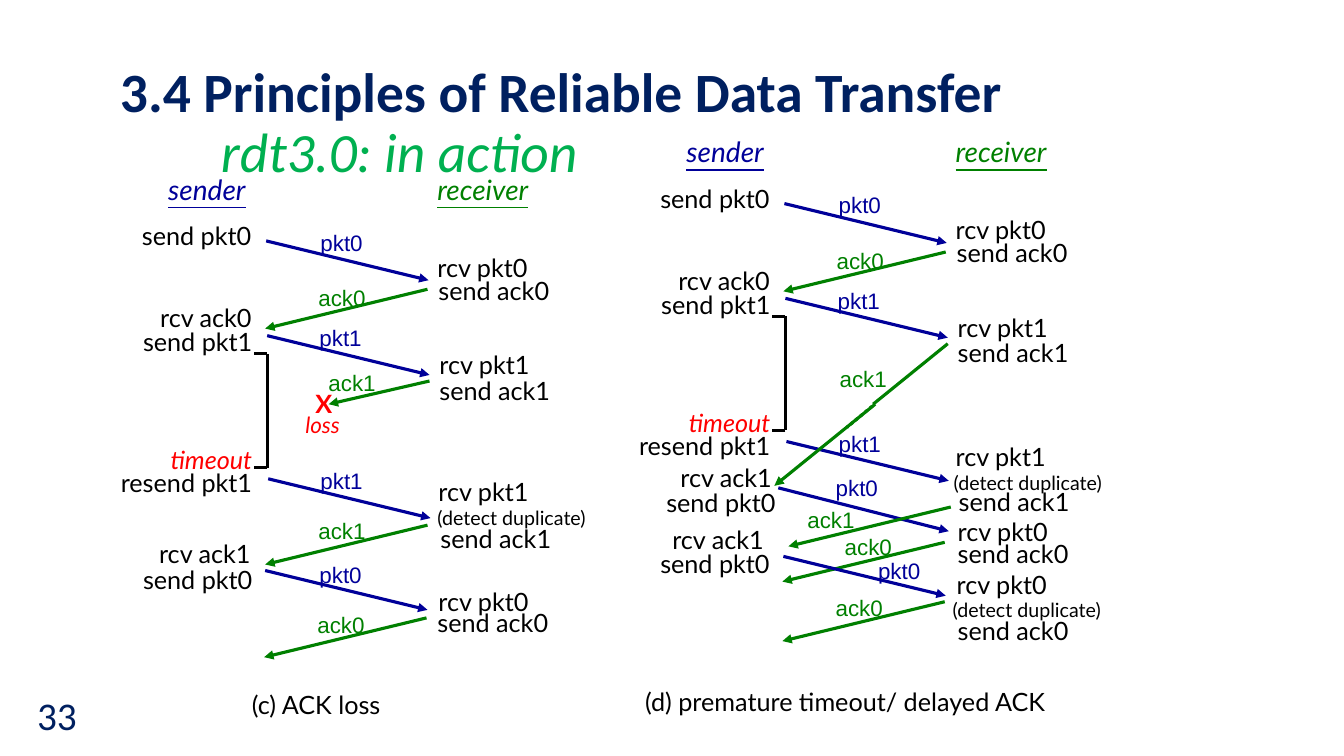
from lxml.etree import SubElement
from pptx import Presentation
from pptx.dml.color import RGBColor
from pptx.enum.dml import MSO_LINE as Dash
from pptx.enum.shapes import MSO_CONNECTOR as Connector
from pptx.enum.text import MSO_ANCHOR as Anchor, MSO_AUTO_SIZE as AutoSize, PP_ALIGN as Align
from pptx.oxml.ns import qn
from pptx.util import Inches, Pt

COLORS = {"title": "002060", "topic": "00B050", "packet": "000099",
          "ack": "008000", "alert": "FF0000", "ink": "000000"}

STYLES = {
    "title": dict(name="Calibri", size=Pt(39.6), bold=True, italic=False),
    "topic": dict(name="Calibri", size=Pt(39.6), bold=False, italic=True),
    "number": dict(name="Calibri", size=Pt(28)),
    "role": dict(name="Lato", size=Pt(20), italic=True, underline=True),
    "event": dict(name="Lato", size=Pt(18)),
    "timeout": dict(name="Lato", size=Pt(18), italic=True),
    "note": dict(name="Lato", size=Pt(14)),
    "loss": dict(name="Lato", size=Pt(16), italic=True),
    "cross": dict(name="Lato", size=Pt(18), bold=True),
    "message": dict(name="Arial", size=Pt(16)),
}

# Box heights by style and box widths by wording, in grid cells
HEIGHTS = {"role": 4.3, "note": 3.3, "loss": 3.7, "message": 3.7}
EVENT_WIDTHS = {"rcv pkt": 11.3, "rcv ack": 11.4, "send pkt": 13.2, "send ack": 13.3}


class TimingSlide:
    """A slide on a grid of 0.1 inch cells; origin shifts a whole panel."""

    def __init__(self, deck):
        self.slide = deck.slides.add_slide(deck.slide_layouts[5])
        self.origin = (0, 0)

    def place(self, x, y):
        return self.cells(x + self.origin[0]), self.cells(y + self.origin[1])

    def cells(self, count):
        return Inches(count / 10)

    def run(self, paragraph, text, style, color):
        run = paragraph.add_run()
        run.text = text
        for key, value in STYLES[style].items():
            setattr(run.font, key, value)
        run.font.color.rgb = RGBColor.from_string(COLORS[color])

    def title(self, heading, topic, x, y, width, height):
        title = self.slide.shapes.title
        title.left, title.top = self.place(x, y)
        title.width, title.height = self.cells(width), self.cells(height)
        frame = title.text_frame
        frame.vertical_anchor = Anchor.MIDDLE
        paragraph = frame.paragraphs[0]
        paragraph.alignment, paragraph.line_spacing = Align.LEFT, 0.9
        tabs = SubElement(paragraph._p.get_or_add_pPr(), qn("a:tabLst"))
        SubElement(tabs, qn("a:tab"), pos=str(self.cells(10)), algn="l")
        self.run(paragraph, heading, "title", "title")
        paragraph.add_line_break()
        self.run(paragraph, "\t", "title", "title")
        self.run(paragraph, topic, "topic", "topic")

    def text(self, x, y, width, lines, height=None, **layout):
        """Each line is a (text, style, color) triple."""
        height = height or HEIGHTS.get(lines[0][1], 4)
        box = self.slide.shapes.add_textbox(
            *self.place(x, y), self.cells(width), self.cells(height))
        frame = box.text_frame
        frame.word_wrap, frame.auto_size = False, AutoSize.SHAPE_TO_FIT_TEXT
        for index, line in enumerate(lines):
            paragraph = frame.add_paragraph() if index else frame.paragraphs[0]
            for key, value in layout.items():
                setattr(paragraph, key, value)
            self.run(paragraph, *line)
        return frame

    def event(self, label, x, y):
        self.text(x, y, EVENT_WIDTHS[label[:-1]], [(label, "event", "ink")])

    def duplicate_note(self, x, y):
        self.text(x, y, 17.2, [("(detect duplicate)", "note", "ink")])

    def line(self, start, end, color, arrow=False, dash=None):
        line = self.slide.shapes.add_connector(
            Connector.STRAIGHT, *self.place(*start), *self.place(*end))
        line.line.width = Pt(2.25)
        line.line.color.rgb = RGBColor.from_string(COLORS[color])
        if dash:
            line.line.dash_style = dash
        properties = line._element.spPr
        if arrow:
            SubElement(properties.find(qn("a:ln")), qn("a:tailEnd"), type="triangle")
        SubElement(properties, qn("a:effectLst"))

    def label(self, label, x, y):
        packet = label.startswith("pkt")
        self.text(x, y, 6.2 if packet else 6.7,
                  [(label, "message", "packet" if packet else "ack")])

    def message(self, label, x, y, label_x, label_y, run=16.1, drop=3.9):
        """Packets go right to the receiver, acks go left to the sender."""
        packet = label.startswith("pkt")
        end = (x + run if packet else x - run, y + drop)
        self.line((x, y), end, "packet" if packet else "ack", arrow=True)
        self.label(label, label_x, label_y)

    def opening(self):
        """The exchange both panels share, up to the resent packet."""
        self.text(15.7, 16.6, 10.2, [("sender", "role", "packet")])
        self.text(42.4, 16.6, 11.7, [("receiver", "role", "ack")])
        for event in [("send pkt0", 13.1, 21.4), ("rcv pkt0", 42.4, 24.5),
                      ("send ack0", 42.5, 26.8), ("rcv ack0", 14.9, 29.5),
                      ("send pkt1", 13.2, 31.9), ("rcv pkt1", 42.6, 34.2),
                      ("send ack1", 42.6, 36.7)]:
            self.event(*event)
        for message in [("pkt0", 26.4, 23.9, 30.8, 22.2), ("ack0", 42.4, 28.7, 30.6, 27.7),
                        ("pkt1", 26.5, 33.3, 30.7, 31.7), ("pkt1", 26.6, 47.5, 30.8, 45.9)]:
            self.message(*message)
        # Timeout bracket
        top, bottom = 35.1, 46.4
        self.line((26.5, top), (26.5, bottom), "ink")
        for y in (top, bottom):
            self.line((26.5, y), (25.2, y), "ink")
        self.text(10.9, 44.3, 15.1, [("timeout", "timeout", "alert"),
                                     ("resend pkt1", "event", "ink")],
                  height=5.5, alignment=Align.RIGHT, line_spacing=0.75)


def main():
    deck = Presentation()
    deck.slide_width, deck.slide_height = Inches(13.33), Inches(7.5)
    timing = TimingSlide(deck)

    # Title and slide number
    timing.title("3.4 Principles of Reliable Data Transfer", "rdt3.0: in action",
                 10.9, 6.2, 114.6, 12.3)
    number = timing.text(0, 66.9, 8.6, [("33", "number", "title")],
                         height=8.1, alignment=Align.RIGHT)
    number.auto_size, number.word_wrap = AutoSize.NONE, True
    number.vertical_anchor = Anchor.MIDDLE

    # Shared start of both panels
    for timing.origin in [(0, 0), (51.4, -3.7)]:
        timing.opening()
    timing.origin = (0, 0)

    # Panel c: the lost ack
    timing.message("ack1", 42.6, 37.8, 31.6, 36.1, run=10, drop=2.3)
    timing.text(30.3, 38, 3.7, [("X", "cross", "alert")])
    timing.text(29.3, 40.3, 5.7, [("loss", "loss", "alert")])

    # Panel d: the delayed ack
    timing.line((94, 34.1), (86.6, 40.1), "ack")
    timing.line((86.5, 40.3), (84, 42.4), "ack", dash=Dash.ROUND_DOT)
    timing.line((86.8, 40.1), (76.8, 48.2), "ack", arrow=True)
    timing.label("ack1", 82.3, 35.7)

    # Rest of each exchange
    for event in [("rcv pkt1", 42.5, 46.8), ("send ack1", 42.7, 51.4),
                  ("rcv ack1", 14.8, 52.9), ("send pkt0", 13.2, 55.5),
                  ("rcv pkt0", 42.5, 57.7), ("send ack0", 42.4, 59.8),
                  ("rcv pkt1", 93.8, 43.3), ("send ack1", 94.1, 47.8),
                  ("rcv ack1", 66.5, 45.4), ("send pkt0", 65.1, 47.9),
                  ("rcv pkt0", 94, 50.7), ("send ack0", 94, 52.9),
                  ("rcv ack1", 65.7, 51.5), ("send pkt0", 64.5, 53.9),
                  ("rcv pkt0", 93.9, 56), ("send ack0", 94, 60.6)]:
        timing.event(*event)
    for note in [(42.4, 49.7), (93.6, 46.2), (93.5, 58.8)]:
        timing.duplicate_note(*note)
    for message in [("ack1", 42.4, 52.1, 30.6, 50.8), ("pkt0", 26.3, 56.6, 30.7, 55.2),
                    ("ack0", 42.3, 61.3, 30.5, 60.1),
                    ("pkt0", 77.2, 48.4, 81.9, 46.5, 16.9, 4.3),
                    ("ack1", 94.3, 50.3, 79.1, 49.7), ("ack0", 93.7, 53.8, 82.8, 52.4),
                    ("pkt0", 77.7, 55.2, 86.1, 54.8), ("ack0", 93.7, 59.7, 81.9, 58.5)]:
        timing.message(*message)

    # Captions
    timing.text(24, 67.9, 15.2, [("(c) ACK loss", "event", "ink")])
    timing.text(63, 67.6, 42.3, [("(d) premature timeout/ delayed ACK", "event", "ink")])

    deck.save("out.pptx")


if __name__ == "__main__":
    main()
